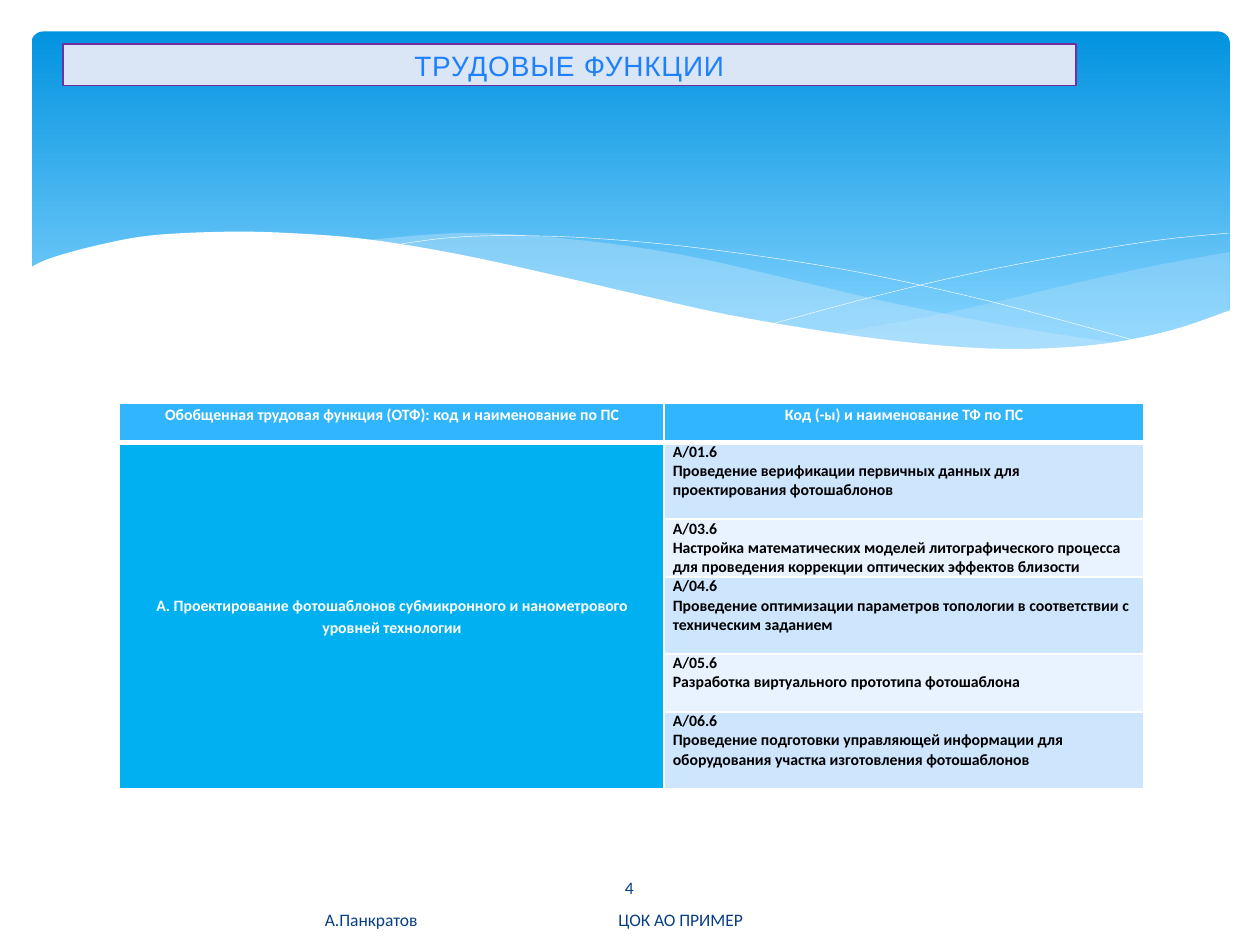
from pptx import Presentation
from pptx.dml.color import RGBColor
from pptx.enum.shapes import MSO_SHAPE as SHAPE
from pptx.enum.text import MSO_ANCHOR as ANCHOR, PP_ALIGN as ALIGN
from pptx.oxml.ns import qn
from pptx.util import Inches, Pt
from lxml.etree import SubElement

COLORS = {
    "white": "FFFFFF", "black": "000000", "navy": "073E87",
    "sky_top": "0293E0", "sky_bottom": "83D3FE", "mist": "C6E7FC",
    "title_fill": "DAE6F6", "title_line": "7030A0", "title_text": "1E80FA",
    "head": "31B6FD", "group": "00B0F0", "band_dark": "CEE5FE", "band_light": "E8F3FF",
}

# Wave outlines: inches from the top left corner of the banner
RIGHT_WAVE = (
    [(9.51, 1.75), (8.96, 1.85), (8.36, 1.98), (7.28, 2.23), (6.36, 2.4)],
    [(6.36, 2.4), (6.94, 2.47), (7.44, 2.52), (7.89, 2.53), (8.38, 2.5),
     (8.8, 2.44), (9.17, 2.34), (9.51, 2.22)],
)
MIDDLE_WAVE = (
    [(8.68, 2.48), (7.82, 2.35), (6.81, 2.15), (6.04, 1.97), (5.3, 1.8),
     (4.64, 1.69), (3.95, 1.62), (3.36, 1.6), (2.61, 1.66)],
    [(2.61, 1.66), (3.37, 1.78), (4.24, 1.97), (5.05, 2.15), (5.93, 2.33),
     (6.7, 2.45), (7.36, 2.52), (7.93, 2.53), (8.32, 2.52), (8.68, 2.48)],
)
FALLING_LINE = [(2.84, 1.7), (3.28, 1.64), (3.76, 1.62), (4.44, 1.64), (5.31, 1.72),
                (6.4, 1.88), (7.35, 2.08), (8.06, 2.26), (8.82, 2.47)]
RISING_LINE = [(5.88, 2.32), (6.7, 2.1), (7.51, 1.91), (8.41, 1.74), (8.99, 1.65), (9.5, 1.6)]
WHITE_WAVE = [(9.52, 2.21), (9.05, 2.37), (8.5, 2.48), (7.84, 2.52), (7.19, 2.49),
              (6.43, 2.4), (5.54, 2.25), (4.78, 2.08), (4.22, 1.95), (3.4, 1.77),
              (2.67, 1.65), (2.05, 1.6), (1.52, 1.59), (0.94, 1.62), (0.51, 1.7),
              (0.15, 1.8), (-0.02, 1.88)]
WHITE_BASE = [(-0.02, 3.04), (9.52, 3.04)]

HEADINGS = ["Обобщенная трудовая функция (ОТФ): код и наименование по ПС",
            "Код (-ы) и наименование ТФ по ПС"]
GROUP = "A. Проектирование фотошаблонов субмикронного и нанометрового уровней технологии"
FUNCTIONS = [
    ("A/01.6", "Проведение верификации первичных данных для проектирования фотошаблонов"),
    ("А/03.6", "Настройка математических моделей литографического процесса "
               "для проведения коррекции оптических эффектов близости"),
    ("A/04.6", "Проведение оптимизации параметров топологии в соответствии с техническим заданием"),
    ("A/05.6", "Разработка виртуального прототипа фотошаблона"),
    ("А/06.6", "Проведение подготовки управляющей информации для "
               "оборудования участка изготовления фотошаблонов"),
]
COL_WIDTHS = [4.32, 3.81]
ROW_HEIGHTS = [0.31, 0.61, 0.46, 0.61, 0.46, 0.61]


def rgb(name):
    return RGBColor.from_string(COLORS[name])


def set_text(tf, *lines, size=9, font="Calibri", color="black", bold=False,
             align=ALIGN.LEFT, spacing=None, after=0, track=None):
    for i, line in enumerate(lines):
        p = tf.add_paragraph() if i else tf.paragraphs[0]
        p.alignment, p.line_spacing, p.space_after = align, spacing, Pt(after)
        r = p.add_run()
        r.text = line
        r.font.size, r.font.name, r.font.bold = Pt(size), font, bold
        r.font.color.rgb = rgb(color)
        if track:
            r.font._element.set("spc", str(int(track * 100)))


def smooth(points, steps=6):
    """Points along a Catmull-Rom curve through the given points."""
    ends = [points[0], *points, points[-1]]
    curve = [points[0]]
    for a, b, c, d in zip(ends, ends[1:], ends[2:], ends[3:]):
        for t in (k / steps for k in range(1, steps + 1)):
            curve.append(tuple(
                (2 * q + (s - o) * t + (2 * o - 5 * q + 4 * s - u) * t ** 2
                 + (3 * q - o - 3 * s + u) * t ** 3) / 2
                for o, q, s, u in zip(a, b, c, d)))
    return curve


def add_outline(slide, left, top, points, fill=None, opacity=100, line=None):
    pts = [(Inches(left + x), Inches(top + y)) for x, y in points]
    builder = slide.shapes.build_freeform(*pts[0])
    builder.add_line_segments(pts[1:], close=fill is not None)
    sp = builder.convert_to_shape()
    sp.shadow.inherit = False
    if fill:
        sp.fill.solid()
        sp.fill.fore_color.rgb = rgb(fill)
        if opacity < 100:
            color = sp._element.spPr.find(qn("a:solidFill"))[0]
            SubElement(color, qn("a:alpha"), val=str(opacity * 1000))
    else:
        sp.fill.background()
    if line:
        sp.line.color.rgb = rgb(line)
        sp.line.width = Pt(0.25)
    else:
        sp.line.fill.background()


def add_banner(slide, left, top, width, height):
    sp = slide.shapes.add_shape(SHAPE.ROUNDED_RECTANGLE, *map(Inches, (left, top, width, height)))
    sp.shadow.inherit = False
    sp.adjustments[0] = 0.034
    sp.line.fill.background()
    sp.fill.gradient()
    sp.fill.gradient_angle = 270
    for stop, place, name in zip(sp.fill.gradient_stops, (0, 0.9), ("sky_top", "sky_bottom")):
        stop.position = place
        stop.color.rgb = rgb(name)
    for (upper, lower), opacity in ((RIGHT_WAVE, 29), (MIDDLE_WAVE, 40)):
        add_outline(slide, left, top, smooth(upper) + smooth(lower), "mist", opacity)
    for curve in (FALLING_LINE, RISING_LINE):
        add_outline(slide, left, top, smooth(curve), line="white")
    add_outline(slide, left, top, smooth(WHITE_WAVE) + WHITE_BASE, "white")


def add_title(slide, *box):
    sp = slide.shapes.add_shape(SHAPE.RECTANGLE, *map(Inches, box))
    sp.shadow.inherit = False
    sp.fill.solid()
    sp.fill.fore_color.rgb = rgb("title_fill")
    sp.line.color.rgb = rgb("title_line")
    sp.line.width = Pt(0.75)
    tf = sp.text_frame
    tf.margin_left = tf.margin_right = Inches(0.05)
    tf.margin_top = tf.margin_bottom = 0
    tf.vertical_anchor = ANCHOR.MIDDLE
    set_text(tf, "ТРУДОВЫЕ ФУНКЦИИ", size=16, font="Arial", color="title_text",
             align=ALIGN.CENTER, track=0.5)


def style_cell(cell, fill, anchor, bottom=1):
    cell.margin_left = cell.margin_right = Inches(0.07)
    cell.margin_top = cell.margin_bottom = 0
    cell.vertical_anchor = anchor
    tcPr = cell._tc.get_or_add_tcPr()
    for side, width in (("L", 1), ("R", 1), ("T", 1), ("B", bottom)):
        ln = SubElement(tcPr, qn(f"a:ln{side}"), w=str(Pt(width)))
        SubElement(SubElement(ln, qn("a:solidFill")), qn("a:srgbClr"), val=COLORS["white"])
    cell.fill.solid()
    cell.fill.fore_color.rgb = rgb(fill)


def add_functions_table(slide, left, top):
    box = map(Inches, (left, top, sum(COL_WIDTHS), sum(ROW_HEIGHTS)))
    table = slide.shapes.add_table(len(ROW_HEIGHTS), len(COL_WIDTHS), *box).table
    for col, width in zip(table.columns, COL_WIDTHS):
        col.width = Inches(width)
    for row, height in zip(table.rows, ROW_HEIGHTS):
        row.height = Inches(height)
    centred = dict(color="white", bold=True, align=ALIGN.CENTER, spacing=1.15, after=10)
    for c, heading in enumerate(HEADINGS):
        cell = table.cell(0, c)
        style_cell(cell, "head", ANCHOR.TOP, bottom=3)
        set_text(cell.text_frame, heading, **centred)
    group = table.cell(1, 0)
    group.merge(table.cell(len(FUNCTIONS), 0))
    style_cell(group, "group", ANCHOR.MIDDLE)
    set_text(group.text_frame, GROUP, **centred)
    for i, lines in enumerate(FUNCTIONS, 1):
        cell = table.cell(i, 1)
        style_cell(cell, "band_dark" if i % 2 else "band_light", ANCHOR.TOP)
        set_text(cell.text_frame, *lines, bold=True)


def add_footer_text(slide, text, *box, align=ALIGN.LEFT, tab=None):
    tf = slide.shapes.add_textbox(*map(Inches, box)).text_frame
    tf.word_wrap = True
    tf.vertical_anchor = ANCHOR.MIDDLE
    set_text(tf, text, size=10, color="navy", align=align)
    if tab:
        tabs = SubElement(tf.paragraphs[0]._p.get_or_add_pPr(), qn("a:tabLst"))
        SubElement(tabs, qn("a:tab"), pos=str(Inches(tab)), algn="l")


def main():
    prs = Presentation()
    prs.slide_width, prs.slide_height = Inches(10), Inches(7.5)
    slide = prs.slides.add_slide(prs.slide_layouts[6])
    add_banner(slide, 0.25, 0.25, 9.51, 2.7)
    add_footer_text(slide, "А.Панкратов\tЦОК АО ПРИМЕР", 2.48, 7.1, 4.14, 0.4, tab=2.33)
    add_footer_text(slide, "4", 4.36, 6.84, 1.27, 0.4, align=ALIGN.CENTER)
    add_title(slide, 0.5, 0.35, 8.04, 0.33)
    add_functions_table(slide, 0.95, 3.2)
    prs.save("out.pptx")


if __name__ == "__main__":
    main()
